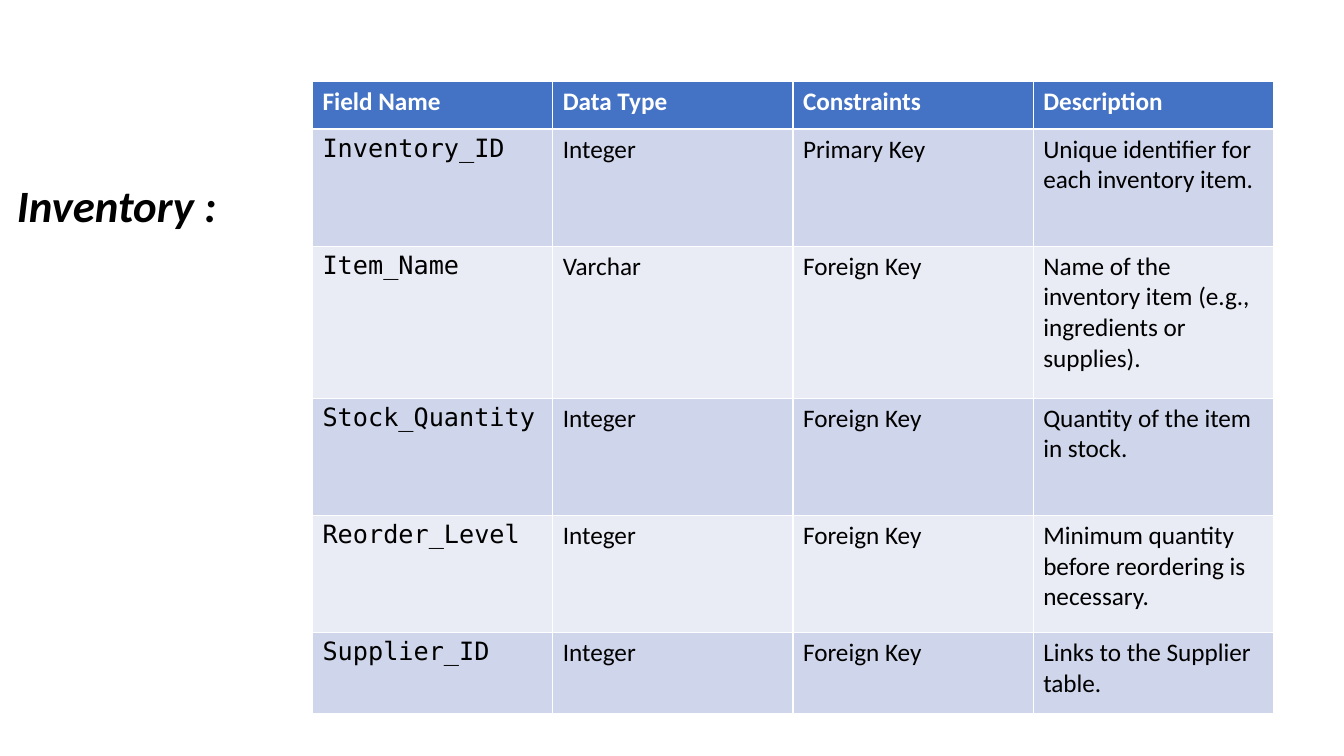
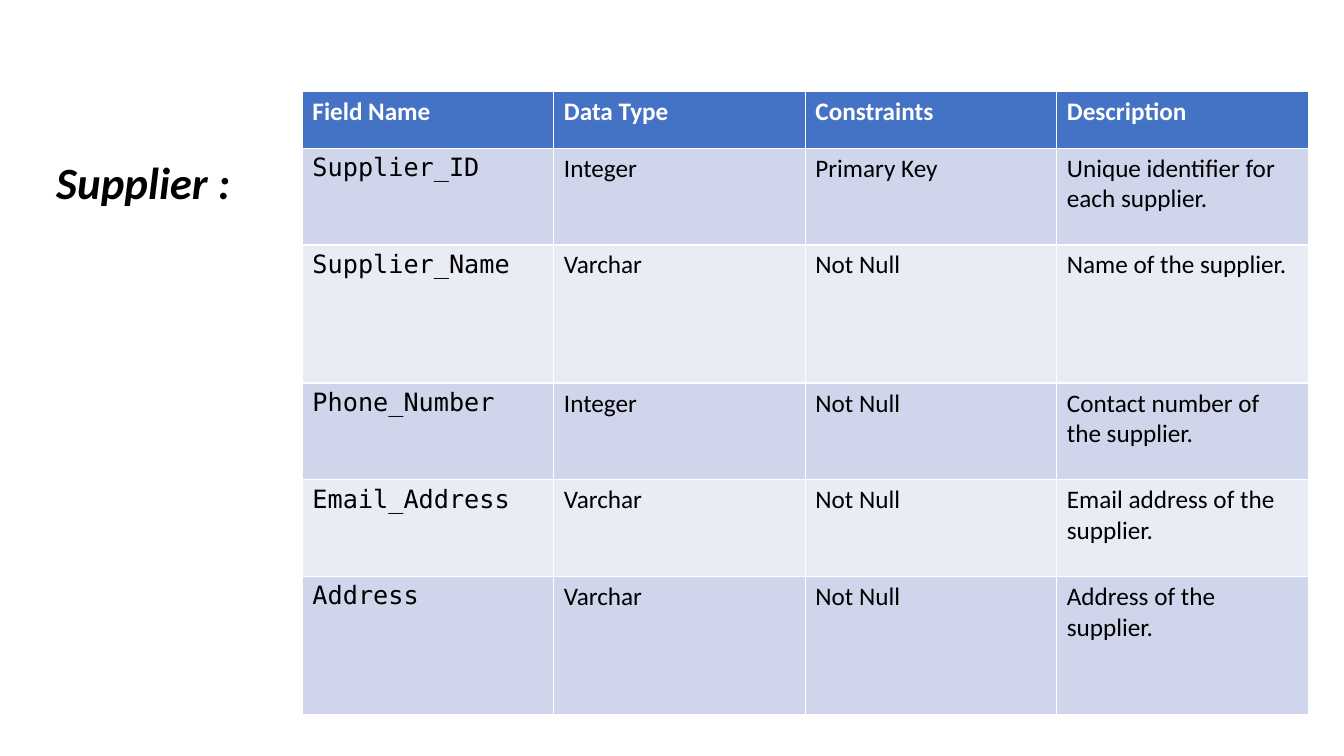
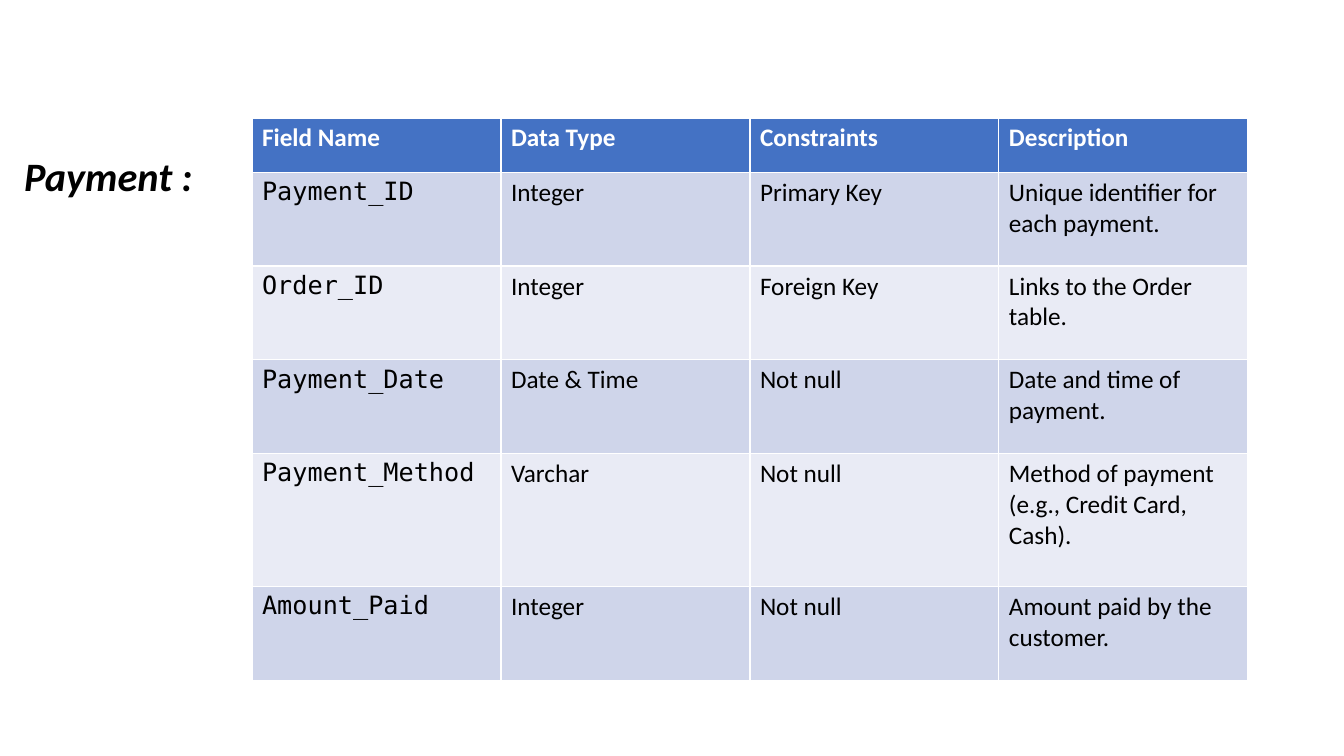
from dataclasses import dataclass

from pptx import Presentation
from pptx.dml.color import RGBColor
from pptx.enum.text import MSO_ANCHOR
from pptx.util import Emu, Inches, Pt

MIDDLE = MSO_ANCHOR.MIDDLE

WIDE, HIGH = Inches(13.33), Inches(7.5)
BLANK = 6

BLACK = RGBColor(0x00, 0x00, 0x00)
WHITE = RGBColor(0xFF, 0xFF, 0xFF)
BLUE = RGBColor(0x44, 0x72, 0xC4)
BANDS = (RGBColor(0xCF, 0xD5, 0xEA), RGBColor(0xE9, 0xEB, 0xF5))

SANS, MONO = "Calibri", "DejaVu Sans Mono"
BODY = 18
HEADS = ("Field Name", "Data Type", "Constraints", "Description")


@dataclass(frozen=True)
class Box:
    """A frame in percent of the slide's width and height."""
    left: float
    top: float
    width: float
    height: float


@dataclass(frozen=True)
class Page:
    title: str
    size: float
    frame: Box
    left: float
    top: float
    width: float
    steps: tuple[float, ...]  # row heights, in percent of the slide
    rows: tuple[tuple[str, ...], ...]


PAGES = (
    Page("Inventory :", 32, Box(0.52, 23.2, 20.7, 8.53),
         23.25, 10.8, 71.5, (6.27, 15.5, 20.1, 15.5, 15.5, 10.8), (
        ("Inventory_ID", "Integer", "Primary Key",
         "Unique identifier for each inventory item."),
        ("Item_Name", "Varchar", "Foreign Key",
         "Name of the inventory item (e.g., ingredients or supplies)."),
        ("Stock_Quantity", "Integer", "Foreign Key",
         "Quantity of the item in stock."),
        ("Reorder_Level", "Integer", "Foreign Key",
         "Minimum quantity before reordering is necessary."),
        ("Supplier_ID", "Integer", "Foreign Key",
         "Links to the Supplier table."),
    )),
    Page("Supplier :", 32, Box(3.45, 18, 16.35, 13.07),
         22.5, 12.13, 74.85, (7.47, 12.8, 18.27, 12.8, 12.8, 18.27), (
        ("Supplier_ID", "Integer", "Primary Key",
         "Unique identifier for each supplier."),
        ("Supplier_Name", "Varchar", "Not Null", "Name of the supplier."),
        ("Phone_Number", "Integer", "Not Null",
         "Contact number of the supplier."),
        ("Email_Address", "Varchar", "Not Null",
         "Email address of the supplier."),
        ("Address", "Varchar", "Not Null", "Address of the supplier."),
    )),
    Page("Payment :", 28.8, Box(1.05, 21.33, 16.13, 4.67),
         18.75, 15.6, 74.1, (7.2, 12.4, 12.4, 12.4, 17.6, 12.4), (
        ("Payment_ID", "Integer", "Primary Key",
         "Unique identifier for each payment."),
        ("Order_ID", "Integer", "Foreign Key", "Links to the Order table."),
        ("Payment_Date", "Date & Time", "Not null",
         "Date and time of payment."),
        ("Payment_Method", "Varchar", "Not null",
         "Method of payment (e.g., Credit Card, Cash)."),
        ("Amount_Paid", "Integer", "Not null",
         "Amount paid by the customer."),
    )),
)


def across(share: float) -> Emu:
    return Emu(round(WIDE * share / 100))


def down(share: float) -> Emu:
    return Emu(round(HIGH * share / 100))


def place(box: Box) -> tuple[Emu, Emu, Emu, Emu]:
    return across(box.left), down(box.top), across(box.width), down(box.height)


def style(para, face: str, size: float, ink: RGBColor,
          bold: bool = False, slant: bool = False) -> None:
    font = para.font
    font.name, font.size = face, Pt(size)
    font.bold, font.italic = bold, slant
    font.color.rgb = ink


def add_title(slide, page: Page) -> None:
    frame = slide.shapes.add_textbox(*place(page.frame)).text_frame
    frame.word_wrap = True
    frame.vertical_anchor = MIDDLE
    para = frame.paragraphs[0]
    para.text = page.title
    para.line_spacing = 0.9
    style(para, SANS, page.size, BLACK, bold=True, slant=True)


def add_grid(slide, page: Page) -> None:
    lines = (HEADS, *page.rows)
    box = Box(page.left, page.top, page.width, sum(page.steps))
    table = slide.shapes.add_table(len(lines), len(HEADS), *place(box)).table
    for row, step in zip(table.rows, page.steps):
        row.height = down(step)

    # The default table style supplies the white rules between cells
    for r, line in enumerate(lines):
        head = r == 0
        for c, text in enumerate(line):
            cell = table.cell(r, c)
            cell.fill.solid()
            cell.fill.fore_color.rgb = BLUE if head else BANDS[(r - 1) % 2]
            cell.text = text
            face = MONO if c == 0 and not head else SANS
            style(cell.text_frame.paragraphs[0], face, BODY,
                  WHITE if head else BLACK, bold=head)


def main() -> None:
    deck = Presentation()
    deck.slide_width, deck.slide_height = WIDE, HIGH
    for page in PAGES:
        slide = deck.slides.add_slide(deck.slide_layouts[BLANK])
        add_title(slide, page)
        add_grid(slide, page)
    deck.save("out.pptx")


if __name__ == "__main__":
    main()
